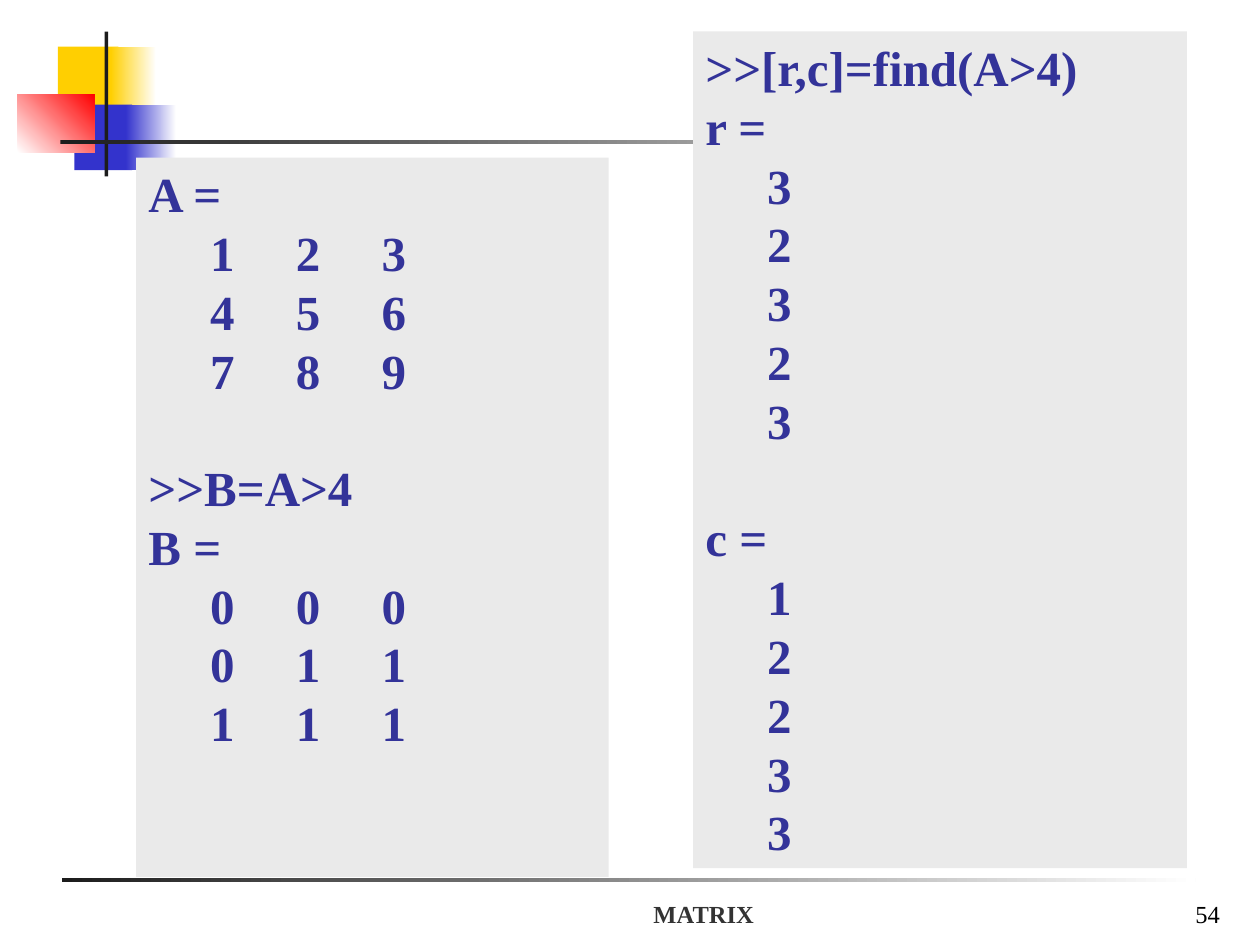
from pptx import Presentation
from pptx.dml.color import RGBColor
from pptx.enum.shapes import MSO_SHAPE as Shape
from pptx.enum.text import MSO_ANCHOR as Anchor, PP_ALIGN as Align
from pptx.oxml.ns import qn
from pptx.util import Inches, Pt
from lxml.etree import SubElement

YELLOW = RGBColor(0xFF, 0xCF, 0x01)
BLUE = RGBColor(0x33, 0x33, 0xCC)
RED = RGBColor(0xFF, 0x00, 0x00)
WHITE = RGBColor(0xFF, 0xFF, 0xFF)
BLACK = RGBColor(0x00, 0x00, 0x00)
CHARCOAL = RGBColor(0x1C, 0x1C, 0x1C)
FOOTER_GRAY = RGBColor(0x33, 0x33, 0x33)
PANEL_GRAY = RGBColor(0xEA, 0xEA, 0xEA)
CODE_BLUE = RGBColor(0x33, 0x33, 0x99)


class SlideBuilder:
    font = "Times New Roman"
    code_size = 28
    line_height = 33.6
    matrix_indent = 0.49
    column_step = 0.68

    def __init__(self, slide):
        self.slide = slide

    def block(self, left, top, width, height, color, end=None, angle=0):
        """Rectangle in one colour, or fading from color to end."""
        rect = self.slide.shapes.add_shape(
            Shape.RECTANGLE, Inches(left), Inches(top), Inches(width), Inches(height))
        rect.shadow.inherit = False
        rect.line.fill.background()
        if end is None:
            rect.fill.solid()
            rect.fill.fore_color.rgb = color
        else:
            rect.fill.gradient()
            rect.fill.gradient_angle = angle
            for stop, position, shade in zip(rect.fill.gradient_stops, (0, 1), (color, end)):
                stop.position = position
                stop.color.rgb = shade
        return rect

    def run(self, paragraph, text, size, color, bold):
        run = paragraph.add_run()
        run.text = text
        font = run.font
        font.name, font.size, font.bold = self.font, Pt(size), bold
        font.color.rgb = color

    def footer(self, left, width, text, align, color, bold=False):
        box = self.slide.shapes.add_textbox(
            Inches(left), Inches(6.92), Inches(width), Inches(0.5))
        frame = box.text_frame
        frame.word_wrap = True
        frame.vertical_anchor = Anchor.BOTTOM
        paragraph = frame.paragraphs[0]
        paragraph.alignment = align
        self.run(paragraph, text, 14, color, bold)

    def matrix_columns(self, paragraph, count):
        """Set one tab stop per matrix column."""
        stops = SubElement(paragraph._p.get_or_add_pPr(), qn("a:tabLst"))
        for column in range(count):
            position = Inches(self.matrix_indent + column * self.column_step)
            SubElement(stops, qn("a:tab"), pos=str(position), algn="l")

    def code_panel(self, left, top, width, height, groups):
        """Groups of lines, one line apart; a tuple is a matrix row."""
        frame = self.block(left, top, width, height, PANEL_GRAY).text_frame
        frame.word_wrap = True
        frame.vertical_anchor = Anchor.TOP
        paragraph = None
        for group in groups:
            for index, line in enumerate(group):
                new_group = paragraph is not None and index == 0
                paragraph = frame.add_paragraph() if paragraph is not None else frame.paragraphs[0]
                paragraph.alignment = Align.LEFT
                paragraph.line_spacing = Pt(self.line_height)
                if new_group:
                    paragraph.space_before = Pt(self.line_height)
                if isinstance(line, tuple):
                    self.matrix_columns(paragraph, len(line))
                    line = "".join(f"\t{value}" for value in line)
                self.run(paragraph, line, self.code_size, CODE_BLUE, True)


def main():
    deck = Presentation()
    deck.slide_width, deck.slide_height = Inches(10), Inches(7.5)
    builder = SlideBuilder(deck.slides.add_slide(deck.slide_layouts[6]))

    # Corner ornament
    builder.block(0.46, 0.37, 0.48, 0.52, YELLOW)
    builder.block(0.88, 0.37, 0.36, 0.52, YELLOW, WHITE)
    builder.block(0.59, 0.83, 0.46, 0.52, BLUE)
    builder.block(1, 0.83, 0.4, 0.52, BLUE, WHITE)
    builder.block(0.14, 0.75, 0.61, 0.46, WHITE, RED, angle=45)
    builder.block(0.83, 0.25, 0.03, 1.15, CHARCOAL)

    # Title and footer rules
    builder.block(0.48, 1.11, 9, 0.03, CHARCOAL, WHITE)
    builder.block(0.49, 6.97, 9, 0.03, CHARCOAL, WHITE)

    # Footer
    builder.footer(4, 3.17, "MATRIX", Align.CENTER, FOOTER_GRAY, bold=True)
    builder.footer(7.7, 2.08, "54", Align.RIGHT, BLACK)

    # Matrix A and its logical mask
    matrix_a = [(1, 2, 3), (4, 5, 6), (7, 8, 9)]
    mask_b = [tuple(int(value > 4) for value in row) for row in matrix_a]
    builder.code_panel(1.08, 1.25, 3.75, 5.71, [
        ["A =", *matrix_a],
        [">>B=A>4", "B =", *mask_b],
    ])

    # Row and column indices found
    rows, columns = (3, 2, 3, 2, 3), (1, 2, 2, 3, 3)
    builder.code_panel(5.5, 0.25, 3.92, 6.64, [
        [">>[r,c]=find(A>4)", "r =", *zip(rows)],
        ["c =", *zip(columns)],
    ])

    deck.save("out.pptx")


if __name__ == "__main__":
    main()
